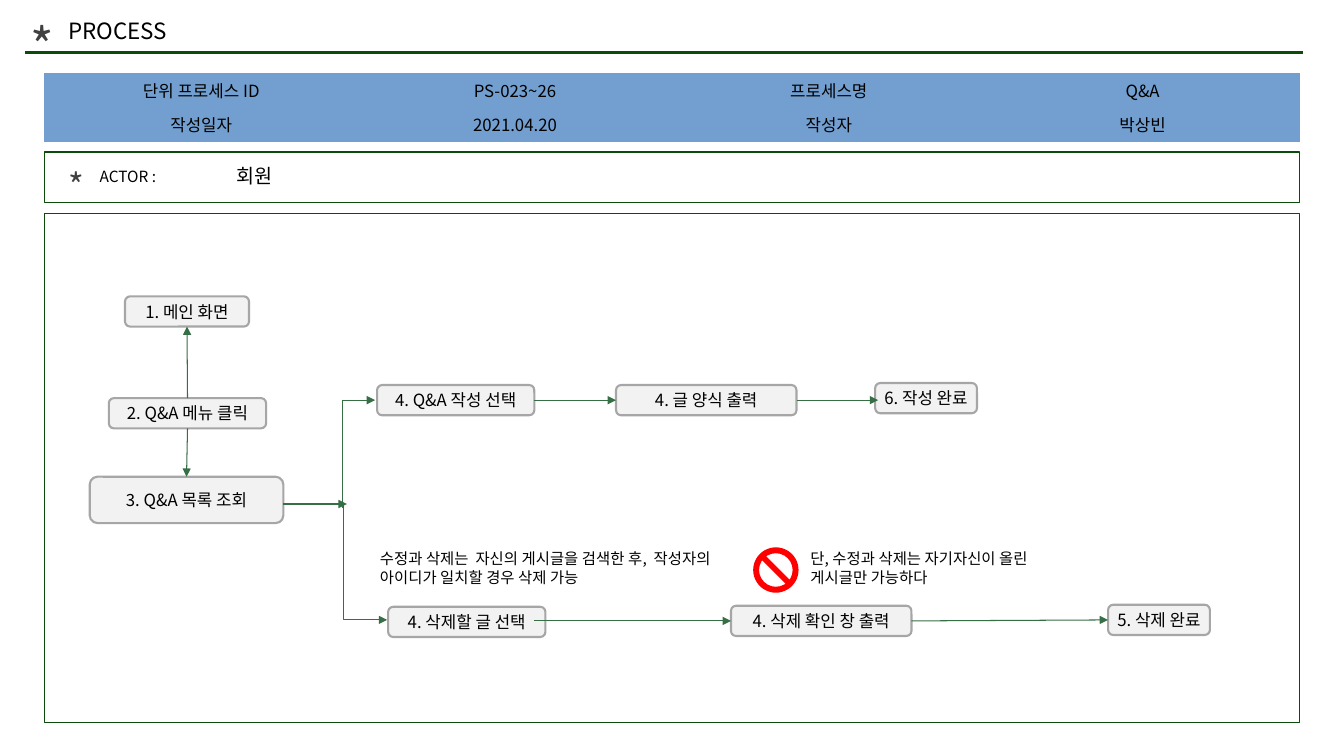
"""Build the Q&A process slide with its header table, actor bar and flow chart."""
from lxml import etree
from pptx import Presentation
from pptx.dml.color import RGBColor
from pptx.enum.shapes import MSO_CONNECTOR as CONN, MSO_SHAPE as SHAPE
from pptx.enum.text import MSO_ANCHOR as ANCHOR, MSO_AUTO_SIZE as AUTO, PP_ALIGN as ALIGN
from pptx.oxml.ns import qn
from pptx.util import Inches, Pt

FONT = "Noto Sans CJK KR"
BLACK = RGBColor(0x00, 0x00, 0x00)
CHARCOAL = RGBColor(0x40, 0x40, 0x40)
DARK_GREEN = RGBColor(0x0C, 0x4B, 0x09)
ARROW_GREEN = RGBColor(0x36, 0x6E, 0x45)
TABLE_BLUE = RGBColor(0x72, 0x9F, 0xCF)
BOX_FILL = RGBColor(0xF2, 0xF2, 0xF2)
BOX_LINE = RGBColor(0xA6, 0xA6, 0xA6)
RED = RGBColor(0xFF, 0x00, 0x00)
TOP, LEFT, BOTTOM, RIGHT = range(4)


def write(tf, text, size, color=BLACK, align=ALIGN.LEFT):
    p = tf.paragraphs[0]
    p.alignment = align
    r = p.add_run()
    r.text = text
    for name, value in {"name": FONT, "size": Pt(size), "bold": False}.items():
        setattr(r.font, name, value)
    r.font.color.rgb = color
    etree.SubElement(r.font._element, qn("a:ea"), typeface=FONT)


def style_line(sp, color, width, arrow=False):
    sp.line.color.rgb = color
    sp.line.width = Pt(width)
    if arrow:
        etree.SubElement(sp.line._get_or_add_ln(), qn("a:tailEnd"), type="triangle")
    if sp._element.spPr.find(qn("a:effectLst")) is None:
        etree.SubElement(sp._element.spPr, qn("a:effectLst"))


prs = Presentation()
prs.slide_width, prs.slide_height = Inches(13.33), Inches(7.5)
s = prs.slides.add_slide(prs.slide_layouts[5])

rule = s.shapes.add_connector(CONN.STRAIGHT, Inches(0.25), Inches(0.52), Inches(12.92), Inches(0.52))
style_line(rule, DARK_GREEN, 2.25)

title = s.shapes.title
title.left, title.top, title.width, title.height = Inches(0.58), Inches(0.12), Inches(4.32), Inches(0.4)
title.text_frame.auto_size = AUTO.NONE
title.text_frame.vertical_anchor = ANCHOR.TOP
write(title.text_frame, "PROCESS", 16)

header = [
    ["단위 프로세스 ID", "PS-023~26", "프로세스명", "Q&A"],
    ["작성일자", "2021.04.20", "작성자", "박상빈"],
]
frame = s.shapes.add_table(2, 4, Inches(0.44), Inches(0.72), Inches(12.45), Inches(0.68))
table = frame.table
table.first_row = table.horz_banding = False
table._tbl.tblPr.find(qn("a:tableStyleId")).text = "{2D5ABB26-0587-4C30-8999-92F81FD0307C}"
for i, row in enumerate(header):
    for j, text in enumerate(row):
        cell = table.cell(i, j)
        cell.fill.solid()
        cell.fill.fore_color.rgb = TABLE_BLUE
        write(cell.text_frame, text, 12, align=ALIGN.CENTER)

for top, height in [(1.51, 0.5), (2.12, 5.05)]:
    panel = s.shapes.add_shape(SHAPE.RECTANGLE, Inches(0.44), Inches(top), Inches(12.45), Inches(height))
    panel.fill.background()
    panel.shadow.inherit = False
    style_line(panel, DARK_GREEN, 1)

labels = [
    ("*", 0.2, 0.1, 0.52, 0.78, 36, CHARCOAL),
    ("*", 0.58, 1.59, 0.52, 0.55, 24, CHARCOAL),
    ("ACTOR :", 0.89, 1.61, 1.33, 0.31, 11, BLACK),
    ("회원", 2.25, 1.58, 4.32, 0.38, 14, BLACK),
    ("단, 수정과 삭제는 자기자신이 올린 게시글만 가능하다", 7.94, 5.4, 2.72, 0.54, 11, BLACK),
    ("수정과 삭제는  자신의 게시글을 검색한 후,  작성자의 아이디가 일치할 경우 삭제 가능",
     3.67, 5.4, 3.64, 0.54, 11, BLACK),
]
for text, x, y, w, h, size, color in labels:
    tf = s.shapes.add_textbox(Inches(x), Inches(y), Inches(w), Inches(h)).text_frame
    tf.word_wrap = True
    write(tf, text, size, color)

steps = {
    "main": ("1. 메인 화면", 1.24, 2.94, 1.23, 0.3),
    "menu": ("2. Q&A 메뉴 클릭", 1.08, 3.95, 1.56, 0.3),
    "list": ("3. Q&A 목록 조회", 0.89, 4.73, 1.92, 0.46),
    "write": ("4. Q&A 작성 선택", 3.74, 3.82, 1.56, 0.3),
    "form": ("4. 글 양식 출력", 6.11, 3.82, 1.79, 0.3),
    "written": ("6. 작성 완료", 8.68, 3.8, 1.01, 0.3),
    "pick": ("4. 삭제할 글 선택", 3.85, 6.02, 1.56, 0.3),
    "confirm": ("4. 삭제 확인 창 출력", 7.25, 6.01, 1.79, 0.3),
    "deleted": ("5. 삭제 완료", 10.99, 6, 1.01, 0.3),
}
boxes = {}
for key, (text, x, y, w, h) in steps.items():
    box = s.shapes.add_shape(SHAPE.ROUNDED_RECTANGLE, Inches(x), Inches(y), Inches(w), Inches(h))
    box.fill.solid()
    box.fill.fore_color.rgb = BOX_FILL
    box.shadow.inherit = False
    style_line(box, BOX_LINE, 1.5)
    tf = box.text_frame
    tf.word_wrap = False
    tf.vertical_anchor = ANCHOR.MIDDLE
    for side in ("left", "top", "right", "bottom"):
        setattr(tf, f"margin_{side}", Inches(0.04))
    write(tf, text, 12, align=ALIGN.CENTER)
    boxes[key] = box

arrows = [
    ((1.86, 3.95), (1.86, 3.23), ("menu", TOP), ("main", BOTTOM)),
    ((1.86, 4.25), (1.86, 4.73), ("menu", BOTTOM), ("list", TOP)),
    ((2.81, 5), (3.44, 5), None, None),
    ((5.3, 3.97), (6.11, 3.97), ("write", RIGHT), ("form", LEFT)),
    ((7.9, 3.97), (8.71, 3.97), ("form", RIGHT), None),
    ((5.3, 6.16), (7.25, 6.16), None, ("confirm", LEFT)),
    ((9.04, 6.16), (10.99, 6.16), ("confirm", RIGHT), ("deleted", LEFT)),
]
for (x1, y1), (x2, y2), start, end in arrows:
    arrow = s.shapes.add_connector(CONN.STRAIGHT, Inches(x1), Inches(y1), Inches(x2), Inches(y2))
    if start:
        arrow.begin_connect(boxes[start[0]], start[1])
    if end:
        arrow.end_connect(boxes[end[0]], end[1])
    style_line(arrow, ARROW_GREEN, 0.75, arrow=True)

branches = [
    [(3.4, 5.04), (3.4, 3.97), (3.72, 3.97)],
    [(3.41, 5), (3.41, 6.15), (3.84, 6.15)],
]
for points in branches:
    start, *rest = [(Inches(x), Inches(y)) for x, y in points]
    builder = s.shapes.build_freeform(*start)
    builder.add_line_segments(rest, close=False)
    branch = builder.convert_to_shape()
    branch.fill.background()
    branch.shadow.inherit = False
    style_line(branch, ARROW_GREEN, 0.75, arrow=True)

ban = s.shapes.add_shape(SHAPE.NO_SYMBOL, Inches(7.47), Inches(5.43), Inches(0.45), Inches(0.45))
ban.adjustments[0] = 0.13
ban.fill.solid()
ban.fill.fore_color.rgb = RED
ban.line.fill.background()
ban.shadow.inherit = False

prs.save("out.pptx")
